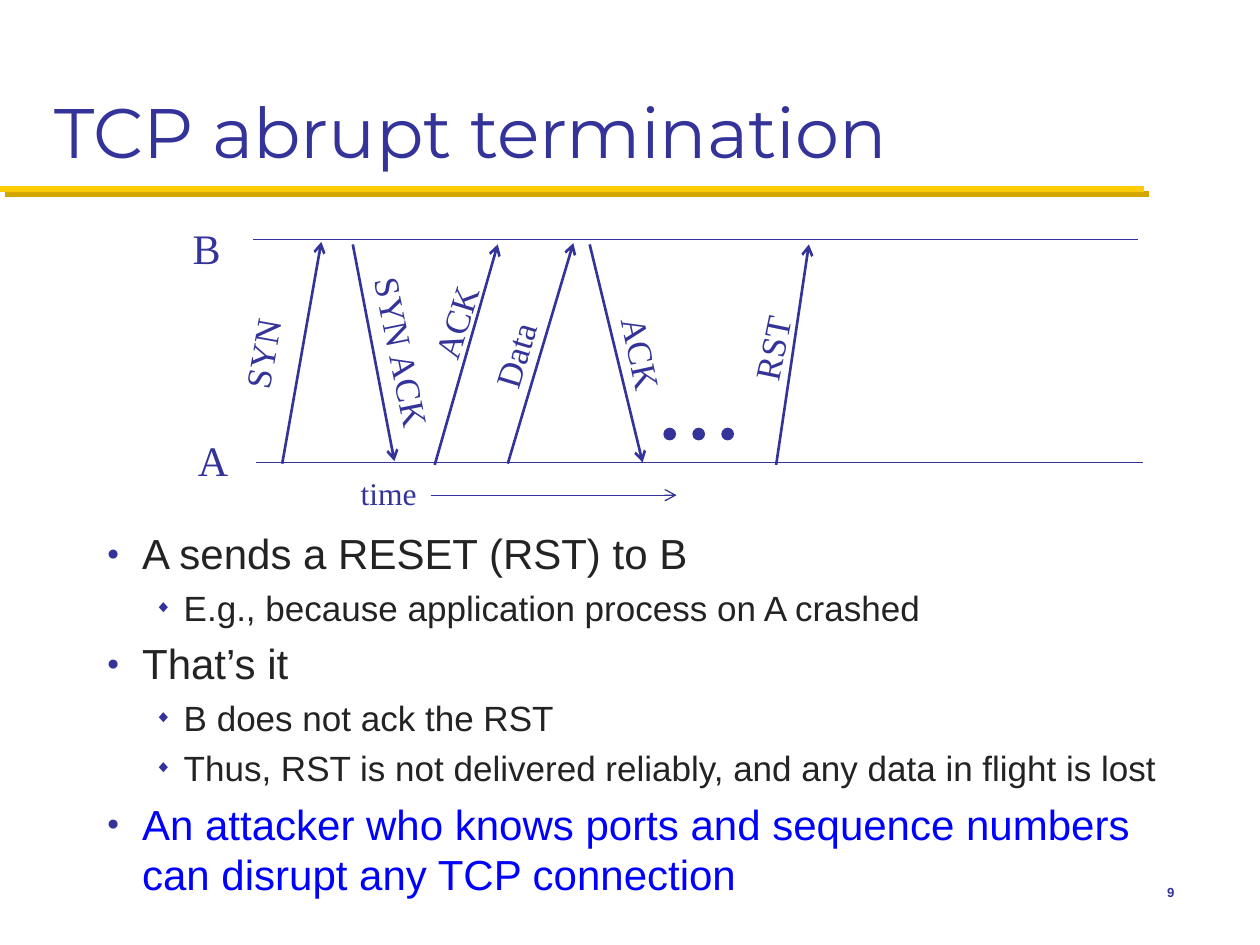
from lxml.etree import SubElement
from pptx import Presentation
from pptx.dml.color import RGBColor
from pptx.enum.shapes import MSO_CONNECTOR, MSO_SHAPE
from pptx.enum.text import MSO_ANCHOR, MSO_AUTO_SIZE, PP_ALIGN
from pptx.oxml.ns import qn
from pptx.util import Inches, Pt

NAVY = "333399"
GOLD = "FFCB05"
DARK_GOLD = "D3A600"
CHARCOAL = "232323"
BLUE = "0000FF"
SERIF = "Times New Roman"
SANS = "Arial"

BULLETS = [
    (0, "A sends a RESET (RST) to B", CHARCOAL),
    (1, "E.g., because application process on A crashed", CHARCOAL),
    (0, "That’s it", CHARCOAL),
    (1, "B does not ack the RST", CHARCOAL),
    (1, "Thus, RST is not delivered reliably, and any data in flight is lost", CHARCOAL),
    (0, "An attacker who knows ports and sequence numbers can disrupt any TCP connection", BLUE),
]
LEVELS = [
    {"size": 24, "symbol": "●", "margin": 0.28, "hanging": 0.28},
    {"size": 20, "symbol": "◆", "margin": 0.61, "hanging": 0.23},
]
MESSAGES = [
    ("SYN", (2.24, 3.68), (2.55, 1.92), (1.7, 2.59, 0.76, 0.43), 280.1),
    ("SYN ACK", (2.8, 1.94), (3.13, 3.66), (2.49, 2.58, 1.41, 0.43), 78.5),
    ("ACK", (3.45, 3.69), (3.95, 1.94), (3.22, 2.34, 0.79, 0.43), 287.4),
    ("Data", (4.03, 3.68), (4.55, 1.93), (3.72, 2.6, 0.73, 0.43), 286.7),
    ("ACK", (4.68, 1.94), (5.1, 3.67), (4.7, 2.59, 0.79, 0.43), 77.9),
    ("RST", (6.16, 3.69), (6.42, 1.94), (5.77, 2.55, 0.71, 0.43), 281.6),
]


def color(value):
    return RGBColor.from_string(value)


def apply(target, values):
    for name, value in values.items():
        setattr(target, name, value)


class SlideBuilder:
    def __init__(self, deck):
        self.slide = deck.slides.add_slide(deck.slide_layouts[5])

    def font(self, target, name, size, shade):
        apply(target.font, {"name": name, "size": Pt(size), "bold": False})
        target.font.color.rgb = color(shade)

    def title(self, text, bounds):
        box = self.slide.shapes.title
        apply(box, dict(zip(("left", "top", "width", "height"), map(Inches, bounds))))
        apply(box.text_frame, {"text": text, "vertical_anchor": MSO_ANCHOR.BOTTOM})
        para = box.text_frame.paragraphs[0]
        para.alignment = PP_ALIGN.LEFT
        self.font(para, "Montserrat", 40, NAVY)

    def text_box(self, bounds, wrap):
        box = self.slide.shapes.add_textbox(*map(Inches, bounds))
        box.text_frame.word_wrap = wrap
        return box

    def label(self, text, bounds, size, rotation=0):
        box = self.text_box(bounds, False)
        box.rotation = rotation
        apply(box.text_frame, {
            "text": text,
            "vertical_anchor": MSO_ANCHOR.MIDDLE,
            "auto_size": MSO_AUTO_SIZE.SHAPE_TO_FIT_TEXT,
        })
        para = box.text_frame.paragraphs[0]
        para.alignment = PP_ALIGN.CENTER
        self.font(para, SERIF, size, NAVY)

    def page_number(self, text, bounds):
        frame = self.text_box(bounds, True).text_frame
        apply(frame, {"text": text, "vertical_anchor": MSO_ANCHOR.MIDDLE})
        para = frame.paragraphs[0]
        para.alignment = PP_ALIGN.RIGHT
        self.font(para, SANS, 7.5, NAVY)
        para.font.bold = True

    def bullets(self, items, bounds):
        frame = self.text_box(bounds, True).text_frame
        for index, (level, text, shade) in enumerate(items):
            para = frame.add_paragraph() if index else frame.paragraphs[0]
            style = LEVELS[level]
            apply(para, {"text": text, "level": level})
            if index:
                para.space_before = Pt(round(style["size"] * 0.23, 1))
            self.bullet(para, style)
            self.font(para, SANS, style["size"], shade)

    def bullet(self, para, style):
        properties = para._p.get_or_add_pPr()
        properties.set("marL", str(Inches(style["margin"])))
        properties.set("indent", str(-Inches(style["hanging"])))
        shade = SubElement(properties, qn("a:buClr"))
        SubElement(shade, qn("a:srgbClr"), val=NAVY)
        SubElement(properties, qn("a:buSzPct"), val="50000")
        SubElement(properties, qn("a:buFont"), typeface=SANS)
        SubElement(properties, qn("a:buChar"), char=style["symbol"])

    def line(self, start, end, width=0.75, shade=NAVY, arrow=False, shadow=None):
        connector = self.slide.shapes.add_connector(
            MSO_CONNECTOR.STRAIGHT, *map(Inches, start + end))
        connector.line.width = Pt(width)
        connector.line.color.rgb = color(shade)
        if arrow:
            SubElement(connector.line._get_or_add_ln(), qn("a:tailEnd"), type="arrow")
        effects = SubElement(connector._element.spPr, qn("a:effectLst"))
        if shadow:
            outer = SubElement(effects, qn("a:outerShdw"), blurRad="0",
                               dist=str(Pt(4.2)), dir="2700000")
            SubElement(outer, qn("a:srgbClr"), val=shadow)

    def dot(self, left, top, diameter):
        shape = self.slide.shapes.add_shape(
            MSO_SHAPE.OVAL, *map(Inches, (left, top, diameter, diameter)))
        shape.shadow.inherit = False
        shape.fill.solid()
        shape.fill.fore_color.rgb = color(NAVY)
        shape.line.color.rgb = color(NAVY)
        shape.line.width = Pt(0.75)


def main():
    deck = Presentation()
    apply(deck, {"slide_width": Inches(10), "slide_height": Inches(7.5)})
    page = SlideBuilder(deck)

    page.line((0, 1.5), (9.08, 1.5), 3.5, GOLD, shadow=DARK_GOLD)
    page.title("TCP abrupt termination", (0.33, 0.17, 9.33, 1.25))
    page.bullets(BULLETS, (0.75, 4.14, 8.67, 2.44))

    page.line((2.01, 1.9), (9.03, 1.9))
    page.line((2.03, 3.67), (9.07, 3.67))
    page.label("B", (1.43, 1.72, 0.42, 0.5), 24)
    page.label("A", (1.47, 3.4, 0.44, 0.5), 24)
    for text, start, end, bounds, rotation in MESSAGES:
        page.line(start, end, 1.5, arrow=True)
        page.label(text, bounds, 20, rotation)
    for index in range(3):
        page.dot(5.27 + 0.23 * index, 3.4, 0.09)
    page.label("time", (2.76, 3.71, 0.65, 0.4), 18)
    page.line((3.42, 3.93), (5.37, 3.93), arrow=True)

    page.page_number("9", (8.75, 6.83, 0.67, 0.5))
    deck.save("out.pptx")


if __name__ == "__main__":
    main()
